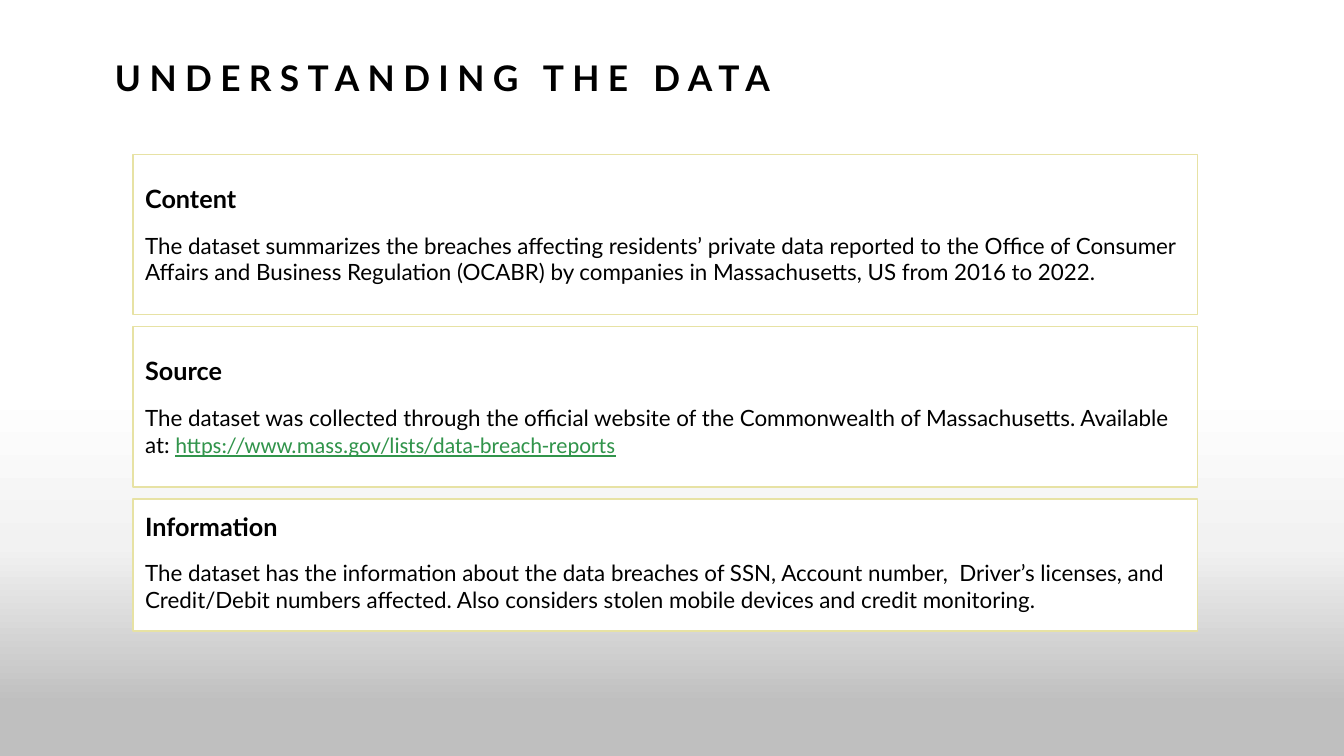
from copy import deepcopy
from dataclasses import dataclass

from pptx import Presentation
from pptx import util as u
from pptx.dml.color import RGBColor
from pptx.enum import shapes, text


@dataclass(frozen=True)
class Theme:
    ink: str = "000000"
    paper: str = "FFFFFF"
    edge: str = "E7E2A4"
    link: str = "31944B"
    fade: tuple = ((0.14, "BFBFBF"), (0.57, "F2F2F2"), (1, "FFFFFF"))
    font: str = "Lato"
    web: str = "Calibri"
    title: float = 25.2
    head: int = 18
    body: int = 16
    gap: int = 13


class Deck:
    def __init__(self, theme):
        self.theme = theme
        self.file = Presentation()
        self.file.slide_width = u.Inches(13.33)
        self.file.slide_height = u.Inches(7.5)
        self.slide = self.file.slides.add_slide(self.file.slide_layouts[5])

    def area(self, left, top, width, height):
        wide, high = self.file.slide_width, self.file.slide_height
        return [int(share * size / 100) for share, size in
                zip((left, top, width, height), (wide, high, wide, high))]

    def style(self, run, size, bold=False, color=None, font=None):
        run.font.size = u.Pt(size)
        run.font.bold = bold
        run.font.name = font or self.theme.font
        run.font.color.rgb = RGBColor.from_string(color or self.theme.ink)

    def rect(self, area):
        shape = self.slide.shapes.add_shape(
            shapes.MSO_SHAPE.RECTANGLE, *self.area(*area))
        shape.shadow.inherit = False
        return shape

    def floor(self, area):
        shape = self.rect(area)
        shape.line.fill.background()
        shape.fill.gradient()
        shape.fill.gradient_angle = 90
        stops = shape.fill.gradient_stops
        last = shape.element.spPr.findall(".//{*}gs")[-1]
        last.addnext(deepcopy(last))
        for stop, (place, color) in zip(stops, self.theme.fade):
            stop.position = place
            stop.color.rgb = RGBColor.from_string(color)

    def title(self, words, area):
        shape = self.slide.shapes.title
        shape.left, shape.top, shape.width, shape.height = self.area(*area)
        frame = shape.text_frame
        frame.text = words
        frame.auto_size = text.MSO_AUTO_SIZE.NONE
        frame.vertical_anchor = text.MSO_ANCHOR.BOTTOM
        line = frame.paragraphs[0]
        line.alignment = text.PP_ALIGN.LEFT
        line.line_spacing = 1.2
        run = line.runs[0]
        self.style(run, self.theme.title, True)
        run.font._element.set("spc", "600")

    def card(self, area, head, body, link="", middle=True):
        theme = self.theme
        shape = self.rect(area)
        shape.fill.solid()
        shape.fill.fore_color.rgb = RGBColor.from_string(theme.paper)
        shape.line.color.rgb = RGBColor.from_string(theme.edge)
        shape.line.width = u.Pt(1)
        frame = shape.text_frame
        frame.text = f"{head}\n{body}"
        frame.word_wrap = True
        frame.vertical_anchor = (
            text.MSO_ANCHOR.MIDDLE if middle else text.MSO_ANCHOR.TOP)
        frame.margin_left = frame.margin_right = u.Inches(0.12)
        frame.margin_top = u.Inches(0.05 if middle else 0.12)
        frame.margin_bottom = u.Inches(0.05)
        first, second = frame.paragraphs
        first.alignment = second.alignment = text.PP_ALIGN.LEFT
        second.space_before = u.Pt(theme.gap)
        self.style(first.runs[0], theme.head, True)
        self.style(second.runs[0], theme.body)
        if link:
            run = second.add_run()
            run.text = link
            self.style(run, theme.body, color=theme.link, font=theme.web)
            run.font.underline = True


CARDS = (
    (21.2, "Content",
     "The dataset summarizes the breaches affecting residents’ private data "
     "reported to the Office of Consumer Affairs and Business Regulation "
     "(OCABR) by companies in Massachusetts, US from 2016 to 2022.", "", True),
    (21.2, "Source",
     "The dataset was collected through the official website of the "
     "Commonwealth of Massachusetts. Available at: ",
     "https://www.mass.gov/lists/data-breach-reports", True),
    (17.5, "Information",
     "The dataset has the information about the data breaches of SSN, "
     "Account number,  Driver’s licenses, and Credit/Debit numbers affected. "
     "Also considers stolen mobile devices and credit monitoring.", "", False),
)


def main():
    deck = Deck(Theme())
    deck.floor((0, 51.2, 100, 48.8))
    deck.title("UNDERSTANDING THE DATA", (7.8, 7.47, 84.4, 6.27))
    top, gap = 20.4, 1.6
    for height, head, body, link, middle in CARDS:
        deck.card((9.9, top, 79.22, height), head, body, link, middle)
        top += height + gap
    deck.file.save("out.pptx")


if __name__ == "__main__":
    main()
